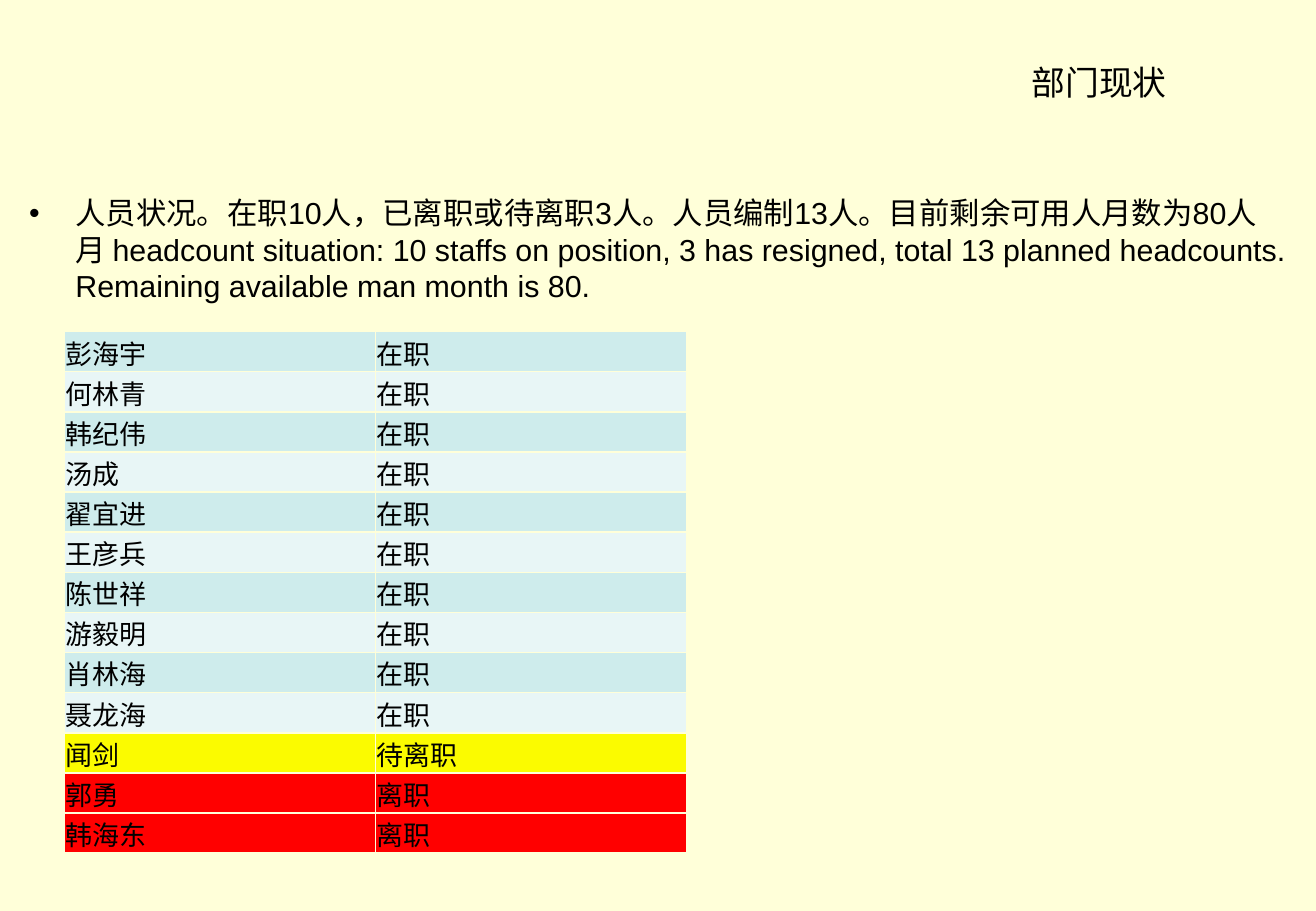
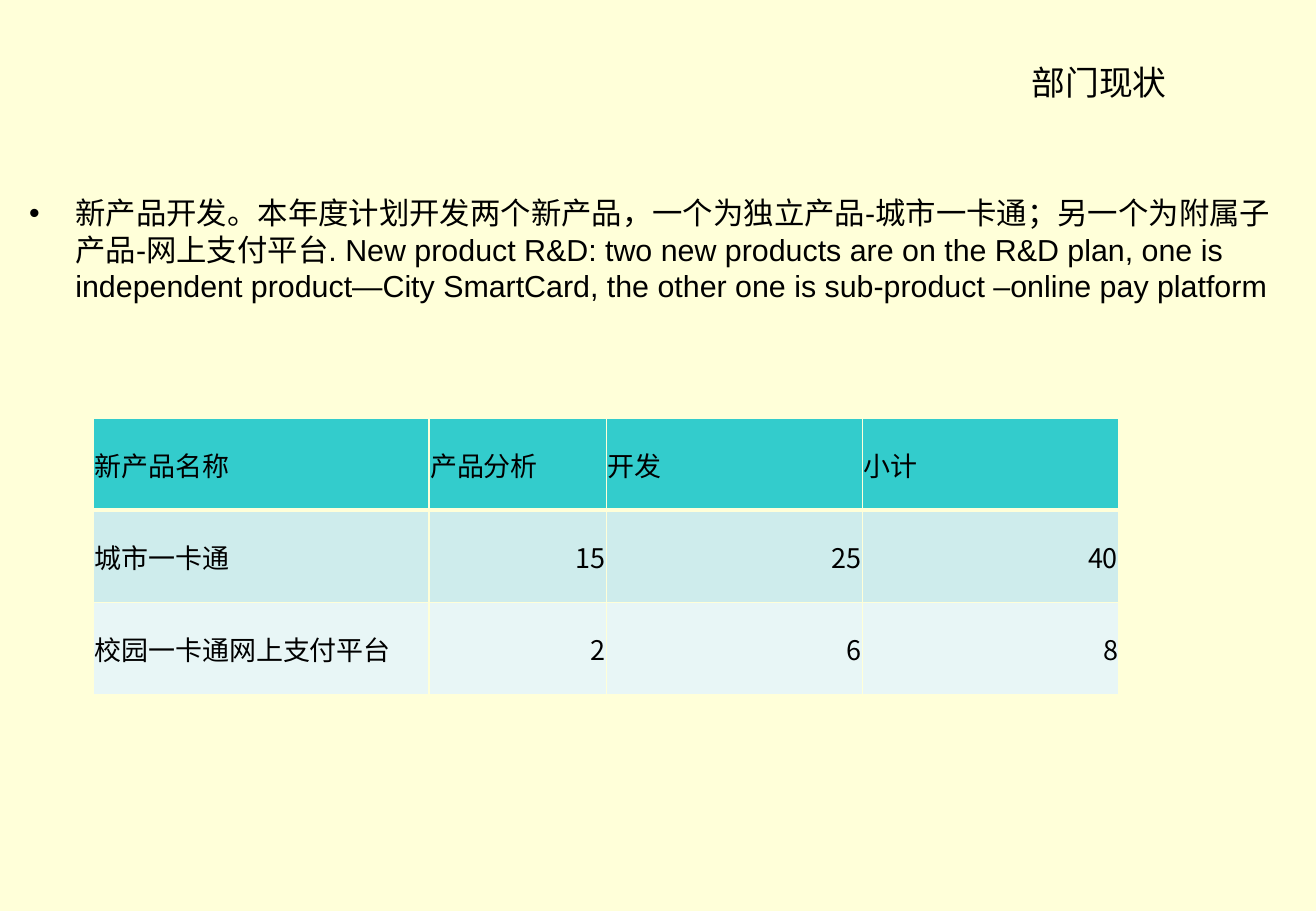
from dataclasses import dataclass

from lxml.etree import SubElement
from pptx import Presentation
from pptx.dml.color import RGBColor
from pptx.enum.text import MSO_ANCHOR, MSO_AUTO_SIZE, PP_ALIGN
from pptx.oxml.ns import qn
from pptx.slide import Slide
from pptx.text.text import TextFrame
from pptx.util import Inches, Pt

HUES = {
    "cream": "FFFFD9",
    "ink": "000000",
    "teal": "33CCCC",
    "band": "CEECEC",
    "pale": "E8F6F6",
    "yellow": "FBFB00",
    "red": "FF0000",
}
LATIN = "Arial"
HAN = "Noto Sans CJK SC"
TITLE = "部门现状"
FLAGS = {"待离职": "yellow", "离职": "red"}


@dataclass
class Grid:
    """A table: its place, column widths, row height, font and rows."""
    left: float
    top: float
    cols: list[float]
    high: float
    rows: list[list[str]]
    font: str = LATIN
    head: bool = False


def hue(name: str) -> RGBColor:
    """Look up a named colour."""
    return RGBColor.from_string(HUES[name])


def write(frame: TextFrame, text: str, *, size: float, font: str = LATIN,
          align: PP_ALIGN = PP_ALIGN.LEFT, before: float = 0,
          bullet: str = "") -> None:
    """Fill a text frame with one formatted paragraph."""
    para = frame.paragraphs[0]
    para.alignment = align
    para.space_before = Pt(before)
    if bullet:
        props = para._p.get_or_add_pPr()
        props.set("marL", str(Inches(0.38)))
        props.set("indent", str(-Inches(0.38)))
        SubElement(props, qn("a:buFont"), typeface=LATIN)
        SubElement(props, qn("a:buChar"), char=bullet)
    run = para.add_run()
    run.text = text
    run.font.size = Pt(size)
    run.font.bold = False
    run.font.color.rgb = hue("ink")
    run.font.name = font
    SubElement(run._r.get_or_add_rPr(), qn("a:ea"), typeface=HAN)


def edge(cell, **widths: float) -> None:
    """Draw cell borders, given as points for each side."""
    props = cell._tc.get_or_add_tcPr()
    for side in "LRTB":
        line = SubElement(props, qn(f"a:ln{side}"),
                          w=str(Pt(widths.get(side, 1))))
        fill = SubElement(line, qn("a:solidFill"))
        SubElement(fill, qn("a:srgbClr"), val=HUES["cream"])


def shade(grid: Grid, row: int) -> str:
    """Choose a row's colour: header, status flag or band."""
    if grid.head and row == 0:
        return "teal"
    band = ("band", "pale")[(row - grid.head) % 2]
    return FLAGS.get(grid.rows[row][-1], band)


def draw(slide: Slide, grid: Grid) -> None:
    """Add a table to a slide."""
    count = len(grid.rows)
    table = slide.shapes.add_table(
        count, len(grid.cols), Inches(grid.left), Inches(grid.top),
        Inches(sum(grid.cols)), Inches(grid.high * count)).table
    table.first_row = grid.head
    table.horz_banding = False
    for col, wide in zip(table.columns, grid.cols):
        col.width = Inches(wide)
    for i, (row, texts) in enumerate(zip(table.rows, grid.rows)):
        row.height = Inches(grid.high)
        for cell, text in zip(row.cells, texts):
            cell.margin_left = cell.margin_right = Inches(0.01)
            cell.margin_top, cell.margin_bottom = Inches(0.01), 0
            cell.vertical_anchor = MSO_ANCHOR.MIDDLE
            edge(cell, T=3 if grid.head and i == 1 else 1,
                 B=3 if grid.head and i == 0 else 1)
            cell.fill.solid()
            cell.fill.fore_color.rgb = hue(shade(grid, i))
            align = PP_ALIGN.RIGHT if text.isdigit() else PP_ALIGN.LEFT
            write(cell.text_frame, text, size=16, font=grid.font, align=align)


def place(shape, left: float, top: float, wide: float, high: float) -> None:
    """Set the bounds of a placeholder."""
    shape.left, shape.top = Inches(left), Inches(top)
    shape.width, shape.height = Inches(wide), Inches(high)


def build(deck, text: str, grid: Grid) -> None:
    """Add a slide with a title, one bullet and a table."""
    slide = deck.slides.add_slide(deck.slide_layouts[1])
    title, body = slide.placeholders
    place(title, 7.39, 0.13, 3.31, 1.09)
    place(body, 0.14, 1.55, 10.55, 4.73)
    for shape in (title, body):
        shape.text_frame.auto_size = MSO_AUTO_SIZE.NONE
    title.text_frame.vertical_anchor = MSO_ANCHOR.MIDDLE
    write(title.text_frame, TITLE, size=20, align=PP_ALIGN.CENTER)
    write(body.text_frame, text, size=18, before=3.6, bullet="•")
    draw(slide, grid)


ACTIVE = ["彭海宇", "何林青", "韩纪伟", "汤成", "翟宜进",
          "王彦兵", "陈世祥", "游毅明", "肖林海", "聂龙海"]
STAFF = Grid(0.53, 2.73, [2.56, 2.56], 0.32,
             [[name, "在职"] for name in ACTIVE]
             + [["闻剑", "待离职"], ["郭勇", "离职"], ["韩海东", "离职"]])
PLAN = Grid(0.77, 3.44, [2.76, 1.46, 2.11, 2.11], 0.76, [
    ["新产品名称", "产品分析", "开发", "小计"],
    ["城市一卡通", "15", "25", "40"],
    ["校园一卡通网上支付平台", "2", "6", "8"],
], font=HAN, head=True)

deck = Presentation()
deck.slide_width, deck.slide_height = Inches(10.83), Inches(7.5)
back = deck.slide_master.background.fill
back.solid()
back.fore_color.rgb = hue("cream")

build(deck, "人员状况。在职10人，已离职或待离职3人。人员编制13人。"
      "目前剩余可用人月数为80人月 headcount situation: 10 staffs on position, "
      "3 has resigned, total 13 planned headcounts. "
      "Remaining available man month is 80.", STAFF)
build(deck, "新产品开发。本年度计划开发两个新产品，一个为独立产品-城市一卡通；"
      "另一个为附属子产品-网上支付平台. New product R&D: two new products are "
      "on the R&D plan, one is independent product—City SmartCard, "
      "the other one is sub-product –online pay platform", PLAN)
deck.save("out.pptx")
